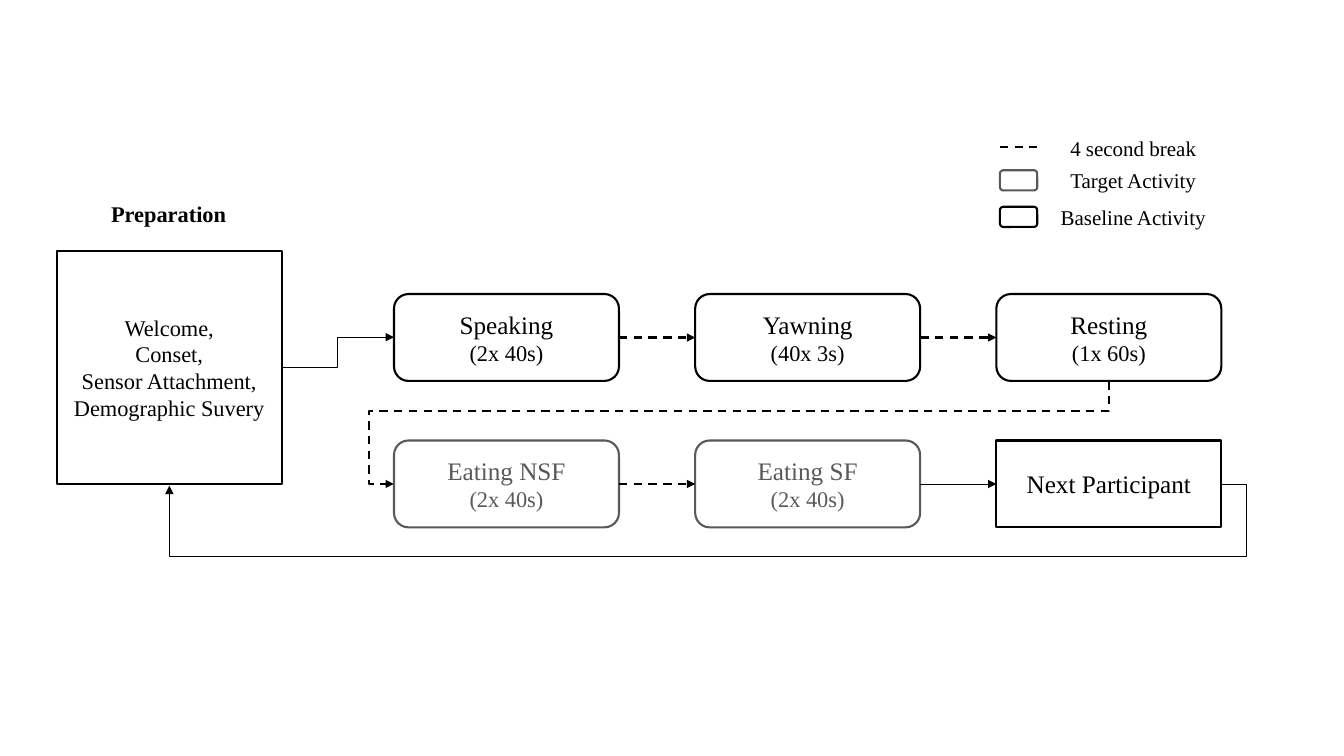
"""Build a slide showing the study procedure as a flow chart with a legend."""
from lxml.etree import SubElement
from pptx import Presentation
from pptx.dml.color import RGBColor
from pptx.enum.dml import MSO_LINE
from pptx.enum.shapes import MSO_CONNECTOR as LINK, MSO_SHAPE as SHAPE
from pptx.enum.text import MSO_ANCHOR, PP_ALIGN
from pptx.oxml.ns import qn
from pptx.util import Cm, Pt

rgb = RGBColor.from_string
FONT, BLACK, GREY, WHITE = "Times New Roman", "000000", "595959", "FFFFFF"
BOX_W, BOX_H = 5.67, 2.19
COLUMNS = [9.93 + 7.59 * i for i in range(3)]
TOP_ROW, BOTTOM_ROW = 7.41, 11.1


def add_box(shapes, kind, left, top, width, height, colour, lines=()):
    sp = shapes.add_shape(kind, Cm(left), Cm(top), Cm(width), Cm(height))
    sp.shadow.inherit = False
    sp.fill.solid()
    sp.fill.fore_color.rgb = rgb(WHITE)
    sp.line.color.rgb = rgb(colour)
    sp.line.width = Pt(1.5)
    tf = sp.text_frame
    tf.word_wrap = True
    tf.vertical_anchor = MSO_ANCHOR.MIDDLE
    for i, (text, size) in enumerate(lines):
        p = tf.add_paragraph() if i else tf.paragraphs[0]
        p.text = text
        p.alignment = PP_ALIGN.CENTER
        p.font.name, p.font.size = FONT, Pt(size)
        p.font.color.rgb = rgb(colour)
    return sp


def add_link(shapes, kind, x1, y1, x2, y2, dashed, arrow=True):
    cx = shapes.add_connector(kind, Cm(x1), Cm(y1), Cm(x2), Cm(y2))
    cx.line.color.rgb = rgb(BLACK)
    cx.line.width = Pt(1.5 if dashed else 0.5)
    if dashed:
        cx.line.dash_style = MSO_LINE.DASH
    if arrow:
        SubElement(cx.line._get_or_add_ln(), qn("a:tailEnd"), type="triangle")
    SubElement(cx._element.spPr, qn("a:effectLst"))
    return cx


prs = Presentation()
prs.slide_width, prs.slide_height = Cm(33.87), Cm(19.05)
s = prs.slides.add_slide(prs.slide_layouts[6])

activities = [
    (0, TOP_ROW, BLACK, "Speaking", "(2x 40s)"),
    (1, TOP_ROW, BLACK, "Yawning", "(40x 3s)"),
    (2, TOP_ROW, BLACK, "Resting", "(1x 60s)"),
    (0, BOTTOM_ROW, GREY, "Eating NSF", "(2x 40s)"),
    (1, BOTTOM_ROW, GREY, "Eating SF", "(2x 40s)"),
]
boxes = [
    add_box(s.shapes, SHAPE.ROUNDED_RECTANGLE, COLUMNS[col], top, BOX_W, BOX_H,
            colour, [(name, 18), (duration, 16)])
    for col, top, colour, name, duration in activities
]
boxes.append(add_box(s.shapes, SHAPE.RECTANGLE, COLUMNS[2], BOTTOM_ROW, BOX_W, BOX_H,
                     BLACK, [("Next Participant", 18)]))
steps = ["Welcome,", "Conset,", "Sensor Attachment,", "Demographic Suvery"]
add_box(s.shapes, SHAPE.RECTANGLE, 1.43, 6.32, BOX_W, 5.88, BLACK,
        [(step, 16) for step in steps])

for start, dashed in [(0, True), (1, True), (3, True), (4, False)]:
    cx = add_link(s.shapes, LINK.STRAIGHT, 0, 0, 1, 1, dashed)
    cx.begin_connect(boxes[start], 3)
    cx.end_connect(boxes[start + 1], 1)

add_link(s.shapes, LINK.ELBOW, 7.1, 9.26, COLUMNS[0], 8.5, False)
row_change = add_link(s.shapes, LINK.ELBOW, 17.64, 1.89, 20.23, 19.91, True)
row_change._element.spPr.find(qn("a:xfrm")).set("rot", "5400000")
restart = add_link(s.shapes, LINK.ELBOW, 30.78, 12.2, 4.27, 12.24, False)
for cx, bends in [(row_change, (28900, 103500)), (restart, (-2400, 4525000))]:
    geometry = cx._element.spPr.find(qn("a:prstGeom"))
    geometry.set("prst", "bentConnector4")
    guides = geometry.find(qn("a:avLst"))
    for i, bend in enumerate(bends, 1):
        SubElement(guides, qn("a:gd"), name=f"adj{i}", fmla=f"val {bend}")

legend = s.shapes.add_group_shape().shapes
add_link(legend, LINK.STRAIGHT, 25.2, 3.71, 26.14, 3.71, True, arrow=False)
for top, colour in [(4.29, GREY), (5.21, BLACK)]:
    add_box(legend, SHAPE.ROUNDED_RECTANGLE, 25.2, top, 0.94, 0.51, colour)

labels = [
    (s.shapes, 2.36, 4.93, 3.78, 0.94, "Preparation", 16, True),
    (legend, 26.44, 3.28, 4.24, 0.89, "4 second break", 15, False),
    (legend, 26.44, 4.09, 4.24, 0.89, "Target Activity", 15, False),
    (legend, 26.44, 5.03, 4.24, 0.89, "Baseline Activity", 15, False),
]
for shapes, left, top, width, height, text, size, bold in labels:
    tf = shapes.add_textbox(Cm(left), Cm(top), Cm(width), Cm(height)).text_frame
    tf.word_wrap = True
    p = tf.paragraphs[0]
    p.text = text
    p.alignment = PP_ALIGN.CENTER
    p.font.name, p.font.size, p.font.bold = FONT, Pt(size), bold
    p.font.color.rgb = rgb(BLACK)

prs.save("out.pptx")
